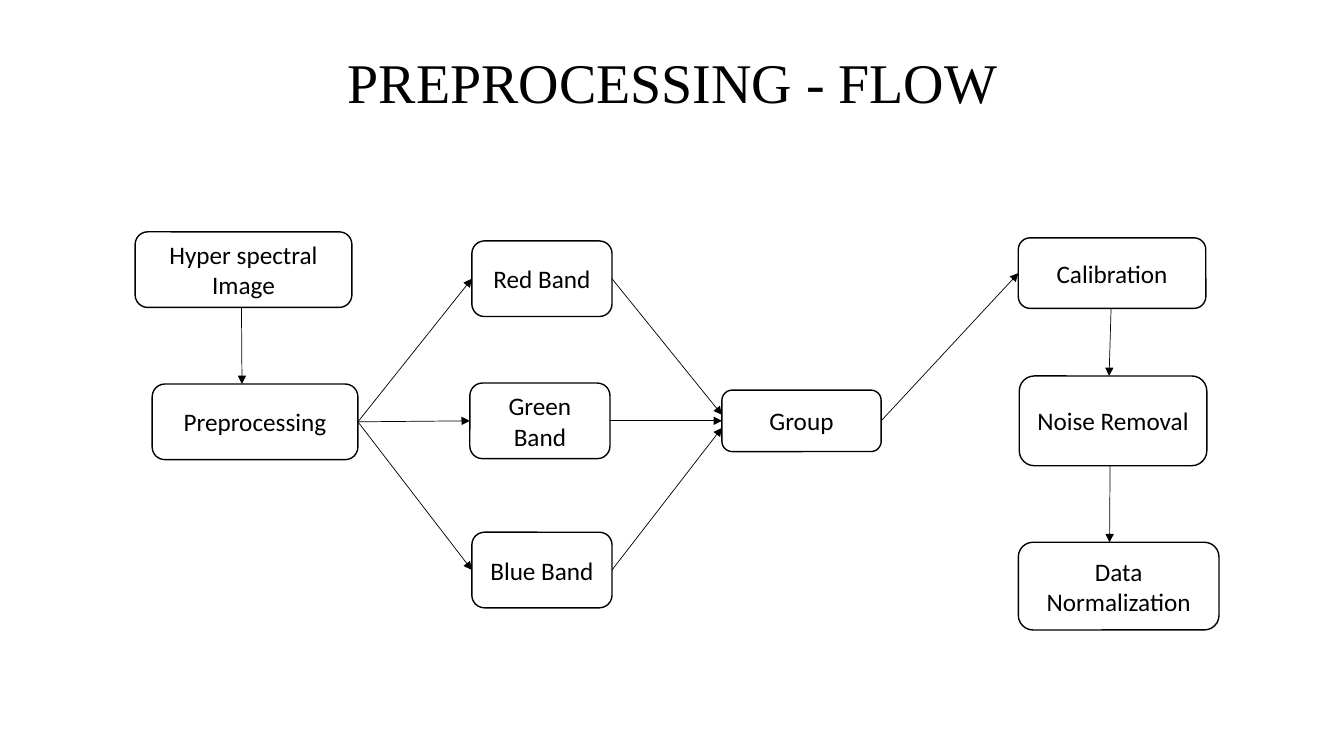
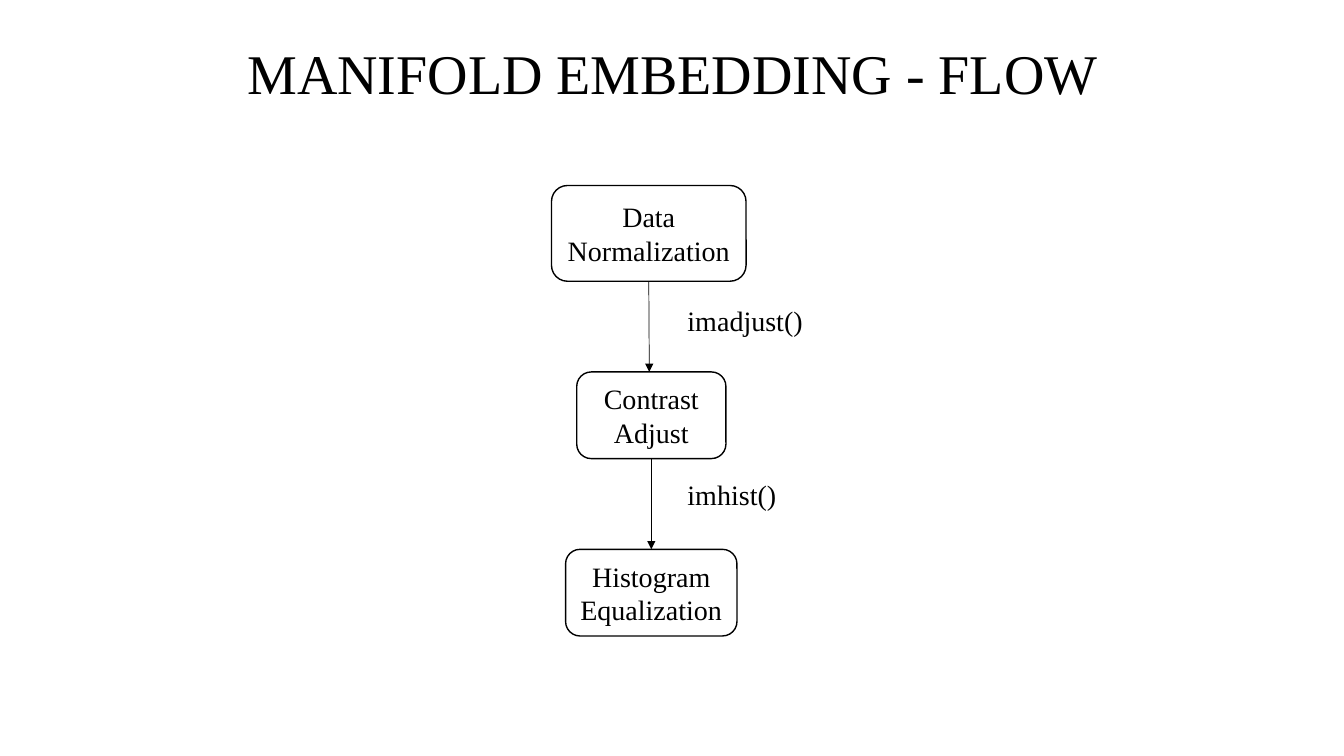
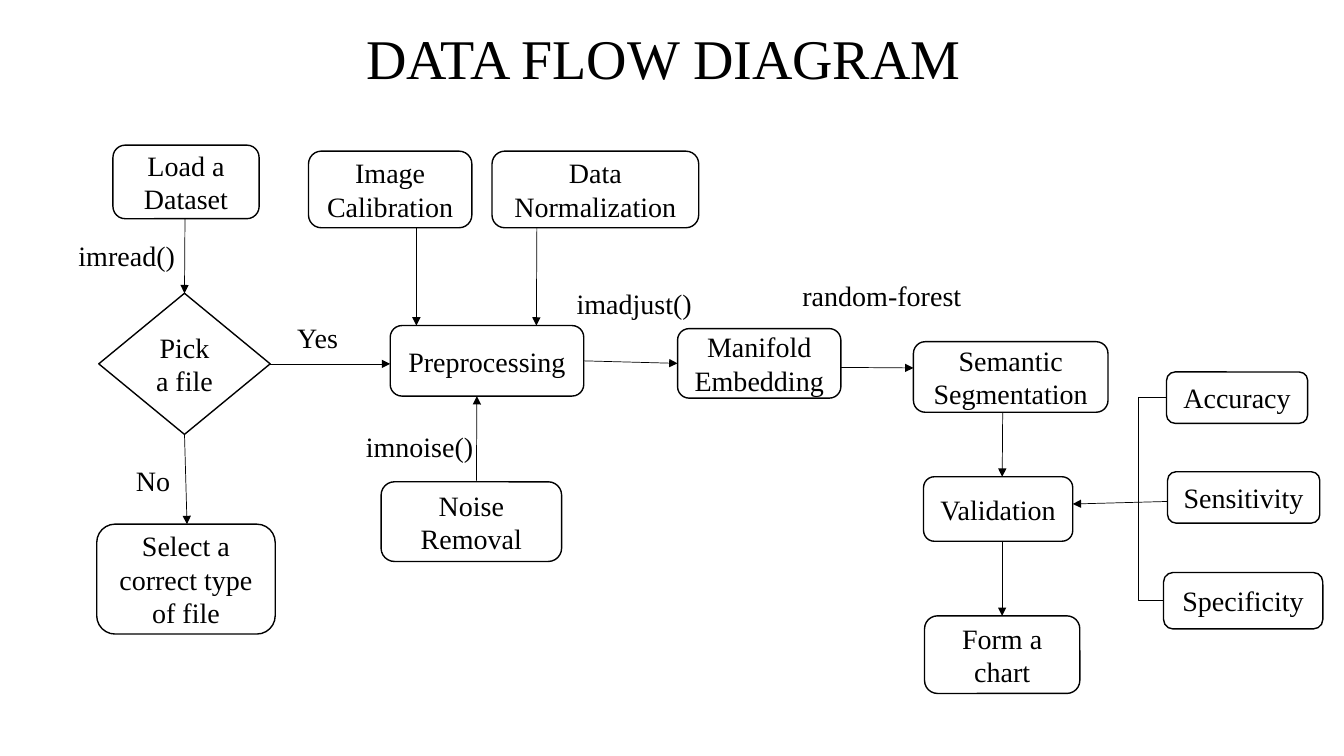
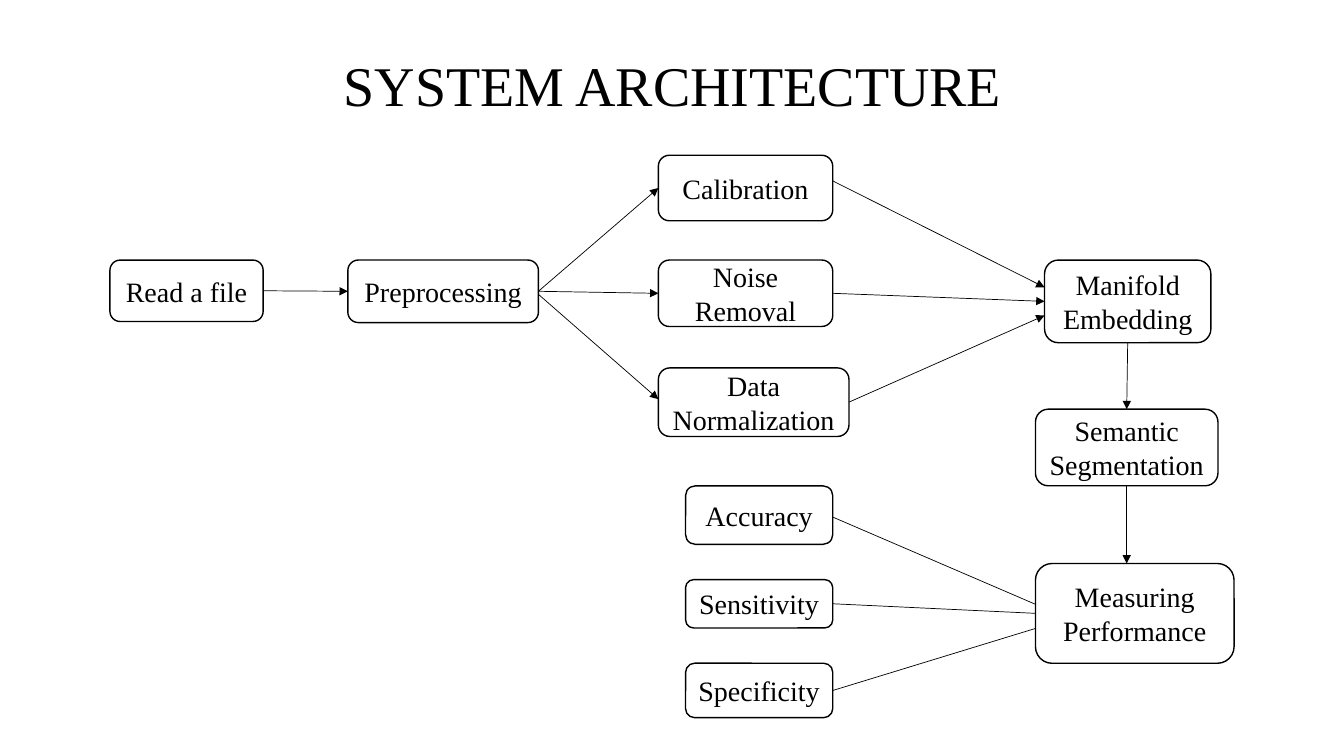
from lxml.etree import SubElement
from pptx import Presentation
from pptx.dml.color import RGBColor
from pptx.enum.shapes import MSO_CONNECTOR, MSO_SHAPE
from pptx.enum.text import MSO_ANCHOR, PP_ALIGN
from pptx.oxml.ns import qn
from pptx.util import Inches, Pt

COLORS = {"ink": "000000", "paper": "FFFFFF"}
SERIF, SANS = "Times New Roman", "Calibri"
TOP, LEFT, BOTTOM, RIGHT = range(4)  # connection sites of a box


def color(name):
    return RGBColor.from_string(COLORS[name])


def write(shape, text, size=20, font=SERIF, align=PP_ALIGN.CENTER,
          anchor=MSO_ANCHOR.MIDDLE, wrap=True, spacing=None, inset=0.1):
    frame = shape.text_frame
    frame.word_wrap = wrap
    frame.vertical_anchor = anchor
    frame.margin_left = frame.margin_right = Inches(inset)
    para = frame.paragraphs[0]
    para.alignment = align
    para.line_spacing = spacing
    span = para.add_run()
    span.text = text
    span.font.size = Pt(size)
    span.font.name = font
    span.font.color.rgb = color("ink")


def add_title(page, text, left, top, width, height):
    box = page.shapes.add_textbox(*map(Inches, (left, top, width, height)))
    write(box, text, size=40, spacing=0.9)


def add_node(page, text, left, top, width, height, kind=MSO_SHAPE.ROUNDED_RECTANGLE, **style):
    node = page.shapes.add_shape(kind, *map(Inches, (left, top, width, height)))
    node.shadow.inherit = False
    node.fill.solid()
    node.fill.fore_color.rgb = color("paper")
    node.line.color.rgb = color("ink")
    node.line.width = Pt(1)
    write(node, text, inset=0.09, **style)
    return node


def add_label(page, text, left, top, width):
    box = page.shapes.add_textbox(*map(Inches, (left, top, width, 0.44)))
    write(box, text, align=PP_ALIGN.LEFT, anchor=MSO_ANCHOR.TOP, wrap=False)


def side_point(node, side, shift):
    """Middle of a side, moved along that side by shift inches."""
    if side in (TOP, BOTTOM):
        y = node.top if side == TOP else node.top + node.height
        return node.left + node.width // 2 + Inches(shift), y
    x = node.left if side == LEFT else node.left + node.width
    return x, node.top + node.height // 2 + Inches(shift)


def add_line(page, start, end, kind=MSO_CONNECTOR.STRAIGHT, arrow=True):
    line = page.shapes.add_connector(kind, *start, *end)
    line.line.color.rgb = color("ink")
    line.line.width = Pt(0.5)
    if arrow:
        SubElement(line.line._get_or_add_ln(), qn("a:tailEnd"), type="triangle")
    SubElement(line._element.spPr, qn("a:effectLst"))
    return line


def add_link(page, source, source_side, target, target_side,
             source_shift=0, target_shift=0, arrow=True):
    """Straight line between two sides, glued where it meets the middle."""
    line = add_line(page, side_point(source, source_side, source_shift),
                    side_point(target, target_side, target_shift), arrow=arrow)
    if not source_shift:
        line.begin_connect(source, source_side)
    if not target_shift:
        line.end_connect(target, target_side)


def add_bracket(page, upper, lower, reach):
    """Elbow that joins two left sides and stands reach inches out of the upper one."""
    start, end = side_point(upper, LEFT, 0), side_point(lower, LEFT, 0)
    elbow = add_line(page, start, end, kind=MSO_CONNECTOR.ELBOW, arrow=False)
    bend = round(Inches(reach) / (start[0] - end[0]) * 100000)
    guides = elbow._element.spPr.find(qn("a:prstGeom")).get_or_add_avLst()
    SubElement(guides, qn("a:gd"), name="adj1", fmla=f"val {bend}")


def add_flow(page, origin, nodes, links, labels=(), **style):
    """Place nodes, links and labels relative to origin; return nodes by text."""
    left, top = origin
    made = {}
    for text, x, y, width, height, *kind in nodes:
        made[text] = add_node(page, text, left + x, top + y, width, height, *kind, **style)
    for source, source_side, target, target_side, *rest in links:
        add_link(page, made[source], source_side, made[target], target_side, *rest)
    for text, x, y, width in labels:
        add_label(page, text, left + x, top + y, width)
    return made


def preprocessing_slide(page):
    add_title(page, "PREPROCESSING - FLOW", 0.92, 0.4, 11.5, 0.9)
    bands = [("Red Band", 3.68, 0.39), ("Green Band", 3.66, 1.8), ("Blue Band", 3.68, 3.28)]
    nodes = [
        ("Hyper spectral Image", 0.34, 0.3, 2.15, 0.75),
        ("Preprocessing", 0.51, 1.81, 2.04, 0.75),
        ("Group", 6.16, 1.87, 1.58, 0.61),
        ("Calibration", 9.1, 0.36, 1.86, 0.7),
        ("Noise Removal", 9.11, 1.73, 1.86, 0.89),
        ("Data Normalization", 9.1, 3.38, 1.99, 0.87),
    ] + [(*band, 1.39, 0.75) for band in bands]
    links = [
        ("Hyper spectral Image", BOTTOM, "Preprocessing", TOP, -0.02, -0.13),
        ("Group", RIGHT, "Calibration", LEFT),
        ("Calibration", BOTTOM, "Noise Removal", TOP, -0.01, -0.04),
        ("Noise Removal", BOTTOM, "Data Normalization", TOP, -0.03, -0.09),
    ]
    for (band, _, _), shift in zip(bands, (-0.06, 0, 0.07)):
        links += [("Preprocessing", RIGHT, band, LEFT),
                  (band, RIGHT, "Group", LEFT, 0, shift)]
    add_flow(page, (1, 2), nodes, links, size=18, font=SANS)


def embedding_slide(page):
    add_title(page, "MANIFOLD EMBEDDING - FLOW", 0.92, 0.4, 11.5, 0.71)
    nodes = [
        ("Data Normalization", 0.47, 0.84, 1.93, 0.95),
        ("Contrast Adjust", 0.72, 2.69, 1.48, 0.86),
        ("Histogram Equalization", 0.61, 4.45, 1.7, 0.86),
    ]
    links = [
        ("Data Normalization", BOTTOM, "Contrast Adjust", TOP, 0, -0.02),
        ("Contrast Adjust", BOTTOM, "Histogram Equalization", TOP),
    ]
    labels = [("imadjust()", 1.72, 1.96, 1.35), ("imhist()", 1.72, 3.69, 1.09)]
    add_flow(page, (5, 1), nodes, links, labels)


def data_flow_slide(page):
    add_title(page, "DATA FLOW DIAGRAM", 0.83, 0.12, 11.5, 0.98)
    nodes = [
        ("Load a Dataset", 0.62, 0.44, 1.45, 0.73),
        ("Pick a file", 0.48, 1.91, 1.7, 1.4, MSO_SHAPE.DIAMOND),
        ("Select a correct type of file", 0.46, 4.2, 1.77, 1.09),
        ("Image Calibration", 2.56, 0.5, 1.62, 0.76),
        ("Data Normalization", 4.38, 0.5, 2.05, 0.76),
        ("Preprocessing", 3.37, 2.23, 1.92, 0.7),
        ("Noise Removal", 3.28, 3.78, 1.79, 0.79),
        ("Manifold Embedding", 6.22, 2.26, 1.62, 0.69),
        ("Semantic Segmentation", 8.56, 2.39, 1.93, 0.7),
        ("Validation", 8.66, 3.73, 1.48, 0.64),
        ("Form a chart", 8.67, 5.11, 1.54, 0.77),
        ("Accuracy", 11.07, 2.69, 1.4, 0.51),
        ("Sensitivity", 11.08, 3.68, 1.51, 0.51),
        ("Specificity", 11.04, 4.68, 1.58, 0.56),
    ]
    links = [
        ("Load a Dataset", BOTTOM, "Pick a file", TOP, -0.01),
        ("Pick a file", BOTTOM, "Select a correct type of file", TOP, 0, 0.01),
        ("Pick a file", RIGHT, "Preprocessing", LEFT, 0, 0.03),
        ("Image Calibration", BOTTOM, "Preprocessing", TOP, 0.26, -0.7),
        ("Data Normalization", BOTTOM, "Preprocessing", TOP, -0.58, 0.49),
        ("Noise Removal", TOP, "Preprocessing", BOTTOM, 0.05, -0.1),
        ("Preprocessing", RIGHT, "Manifold Embedding", LEFT),
        ("Manifold Embedding", RIGHT, "Semantic Segmentation", LEFT, 0.04, -0.09),
        ("Semantic Segmentation", BOTTOM, "Validation", TOP, -0.08, 0.04),
        ("Validation", BOTTOM, "Form a chart", TOP, 0.04),
        ("Sensitivity", LEFT, "Validation", RIGHT, 0.04, -0.05),
    ]
    labels = [
        ("imread()", 0.18, 1.32, 1.18),
        ("Yes", 2.35, 2.13, 0.67),
        ("No", 0.75, 3.55, 0.58),
        ("imnoise()", 3.03, 3.21, 1.27),
        ("imadjust()", 5.12, 1.79, 1.35),
        ("random-forest", 7.36, 1.71, 1.85),
    ]
    made = add_flow(page, (0.5, 1), nodes, links, labels)
    add_bracket(page, made["Accuracy"], made["Specificity"], 0.28)


def architecture_slide(page):
    add_title(page, "SYSTEM ARCHITECTURE", 0.92, 0.4, 11.5, 0.95)
    nodes = [
        ("Read a file", 0.09, 1.08, 1.52, 0.61),
        ("Preprocessing", 2.45, 1.08, 1.89, 0.62),
        ("Calibration", 5.53, 0.04, 1.73, 0.65),
        ("Noise Removal", 5.53, 1.08, 1.73, 0.66),
        ("Data Normalization", 5.53, 2.15, 1.89, 0.68),
        ("Manifold Embedding", 9.36, 1.08, 1.65, 0.82),
        ("Semantic Segmentation", 9.27, 2.56, 1.81, 0.76),
        ("Measuring Performance", 9.27, 4.09, 1.97, 0.99),
        ("Accuracy", 5.8, 3.32, 1.46, 0.58),
        ("Sensitivity", 5.8, 4.25, 1.46, 0.48),
        ("Specificity", 5.8, 5.08, 1.46, 0.54),
    ]
    links = [
        ("Read a file", RIGHT, "Preprocessing", LEFT),
        ("Preprocessing", RIGHT, "Calibration", LEFT),
        ("Preprocessing", RIGHT, "Noise Removal", LEFT),
        ("Preprocessing", RIGHT, "Data Normalization", LEFT, 0.03, -0.03),
        ("Calibration", RIGHT, "Manifold Embedding", LEFT, -0.07, -0.14),
        ("Noise Removal", RIGHT, "Manifold Embedding", LEFT),
        ("Data Normalization", RIGHT, "Manifold Embedding", LEFT, 0, 0.14),
        ("Manifold Embedding", BOTTOM, "Semantic Segmentation", TOP),
        ("Semantic Segmentation", BOTTOM, "Measuring Performance", TOP, 0, -0.08),
    ]
    measures = [("Accuracy", 0.02, -0.09), ("Sensitivity", 0, 0), ("Specificity", 0, 0.15)]
    links += [(name, RIGHT, "Measuring Performance", LEFT, start, end, False)
              for name, start, end in measures]
    add_flow(page, (1, 1.5), nodes, links)


def main():
    deck = Presentation()
    deck.slide_width, deck.slide_height = Inches(13.33), Inches(7.5)
    for build in (preprocessing_slide, embedding_slide, data_flow_slide, architecture_slide):
        build(deck.slides.add_slide(deck.slide_layouts[6]))
    deck.save("out.pptx")


if __name__ == "__main__":
    main()
